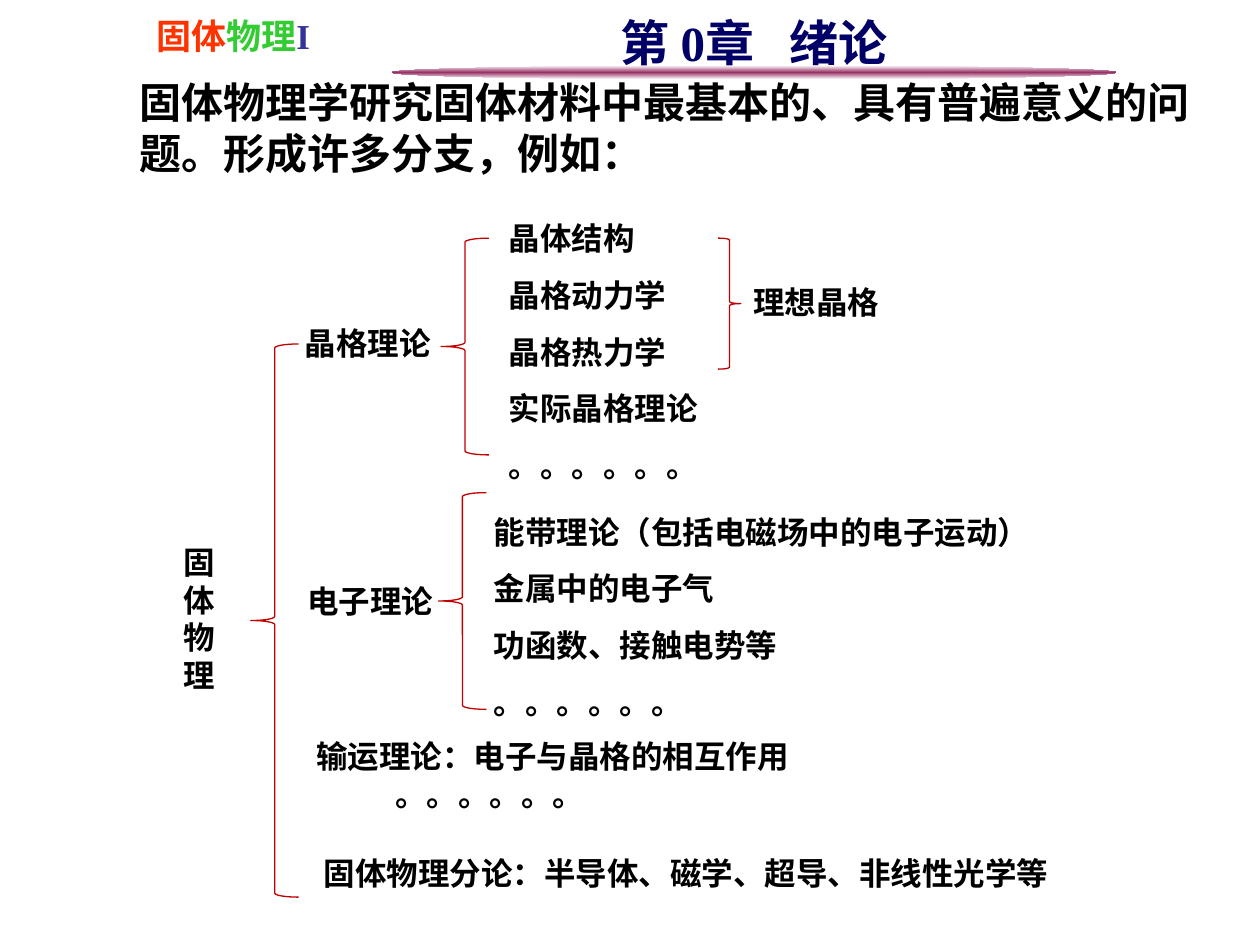
from copy import deepcopy
from pptx import Presentation
from pptx.dml.color import RGBColor
from pptx.enum.shapes import MSO_SHAPE as Shape
from pptx.enum.text import MSO_ANCHOR as Anchor, MSO_AUTO_SIZE as Auto, PP_ALIGN as Align
from pptx.oxml.ns import qn
from pptx.util import Inches, Pt

CJK, ROMAN = "Noto Sans CJK SC", "Times New Roman"
FRAME = {"word_wrap": True, "auto_size": Auto.NONE, "vertical_anchor": Anchor.TOP,
         "margin_left": Inches(0.1), "margin_right": Inches(0.1),
         "margin_top": Inches(0.05), "margin_bottom": Inches(0.05)}


def color(code):
    return RGBColor.from_string(code)


def write(box, at, paras, size=18, **form):
    """Place a box and fill it; each paragraph is a list of (text, font, colour) runs or a plain string."""
    box.left, box.top, box.width, box.height = map(Inches, at)
    frame = box.text_frame
    for name, value in FRAME.items():
        setattr(frame, name, value)
    for i, runs in enumerate(paras):
        para = frame.paragraphs[0] if i == 0 else frame.add_paragraph()
        props = para._p.get_or_add_pPr()
        props.set("marL", "0")
        props.set("indent", "0")
        props.get_or_add_defRPr().addprevious(props.makeelement(qn("a:buNone"), {}))
        for name, value in {"space_before": Pt(0), "alignment": Align.LEFT, **form}.items():
            setattr(para, name, value)
        if isinstance(runs, str):
            runs = [(runs, CJK, "000000")]
        for text, face, tint in runs:
            run = para.add_run()
            run.text = text
            font = run.font
            for name, value in {"size": Pt(size), "bold": True, "name": face}.items():
                setattr(font, name, value)
            font.color.rgb = color(tint)
            latin = run._r.rPr.find(qn("a:latin"))
            latin.addnext(latin.makeelement(qn("a:ea"), {"typeface": CJK}))
    return frame


prs = Presentation()
prs.slide_width, prs.slide_height = Inches(10), Inches(7.5)
slide = prs.slides.add_slide(prs.slide_layouts[1])
shapes = slide.shapes

# Header: course name, chapter title and the tapered rule below it
write(shapes.add_textbox(0, 0, 0, 0), (1.14, 0, 3.15, 0.5),
      [[("固体", "Arial", "FF3300"), ("物理", "Arial", "33CC33"), ("I", ROMAN, "333399")]],
      size=20, line_spacing=1.2)
navy = "000066"
title = write(shapes.title, (3.11, 0.05, 5.75, 0.47),
              [[("第 ", "Arial", navy), ("0", ROMAN, navy), ("章", "Arial", navy),
                (" ", "Arial", navy), ("绪论", "Arial", navy)]],
              size=28, alignment=Align.CENTER)
# Widen the space before the chapter name by 14 points
title.paragraphs[0].runs[3]._r.rPr.set("spc", "1400")

rule = shapes.add_shape(Shape.OVAL, Inches(3.11), Inches(0.52), Inches(5.75), Inches(0.11))
rule.shadow.inherit = False
rule.line.fill.background()
rule.fill.gradient()
rule.fill.gradient_angle = 90
first = rule._element.spPr.find(".//" + qn("a:gs"))
first.addnext(deepcopy(first))
for stop, (pos, tint) in zip(rule.fill.gradient_stops,
                             [(0, "FFFFFF"), (0.5, "993366"), (1, "FFFFFF")]):
    stop.position = pos
    stop.color.rgb = color(tint)

write(slide.placeholders[1], (1.01, 0.56, 8.56, 0.9),
      ["固体物理学研究固体材料中最基本的、具有普遍意义的问题。形成许多分支，例如："], size=24)

# Tree of branches: position, lines, line spacing
dots = "。。。。。。"
nodes = [
    ((1.36, 4.26, 0.63, 1.3), list("固体物理"), 1),
    ((2.32, 2.52, 1.73, 0.4), ["晶格理论"], 1),
    ((2.34, 4.57, 1.73, 0.4), ["电子理论"], 1),
    ((2.47, 6.73, 6.74, 0.4), ["固体物理分论：半导体、磁学、超导、非线性光学等"], 1),
    ((3.82, 3.87, 4.8, 1.9),
     ["能带理论（包括电磁场中的电子运动）", "金属中的电子气", "功函数、接触电势等", dots], 1.5),
    ((3.94, 1.54, 1.73, 2.35),
     ["晶体结构", "晶格动力学", "晶格热力学", "实际晶格理论", dots], 1.5),
    ((5.88, 2.2, 1.73, 0.4), ["理想晶格"], 1),
]
for at, lines, gap in nodes:
    write(shapes.add_textbox(0, 0, 0, 0), at, lines, line_spacing=gap)

frame = write(shapes.add_textbox(0, 0, 0, 0), (2.41, 5.8, 5.91, 0.7),
              ["输运理论：电子与晶格的相互作用", dots])
frame.paragraphs[1]._p.pPr.set("marL", str(Inches(0.63)))

# Braces that join the branches
braces = [
    (Shape.LEFT_BRACE, (1.99, 2.73, 0.38, 4.39)),
    (Shape.LEFT_BRACE, (3.5, 1.89, 0.38, 1.72)),
    (Shape.RIGHT_BRACE, (5.7, 1.89, 0.18, 1.04)),
    (Shape.LEFT_BRACE, (3.48, 3.91, 0.38, 1.72)),
]
for kind, at in braces:
    brace = shapes.add_shape(kind, *map(Inches, at))
    brace.shadow.inherit = False
    if kind == Shape.LEFT_BRACE:
        brace.fill.solid()
        brace.fill.fore_color.rgb = color("FFFFFF")
    else:
        brace.fill.background()
    brace.line.color.rgb = color("C00000")
    brace.line.width = Pt(0.75)

prs.save("out.pptx")
